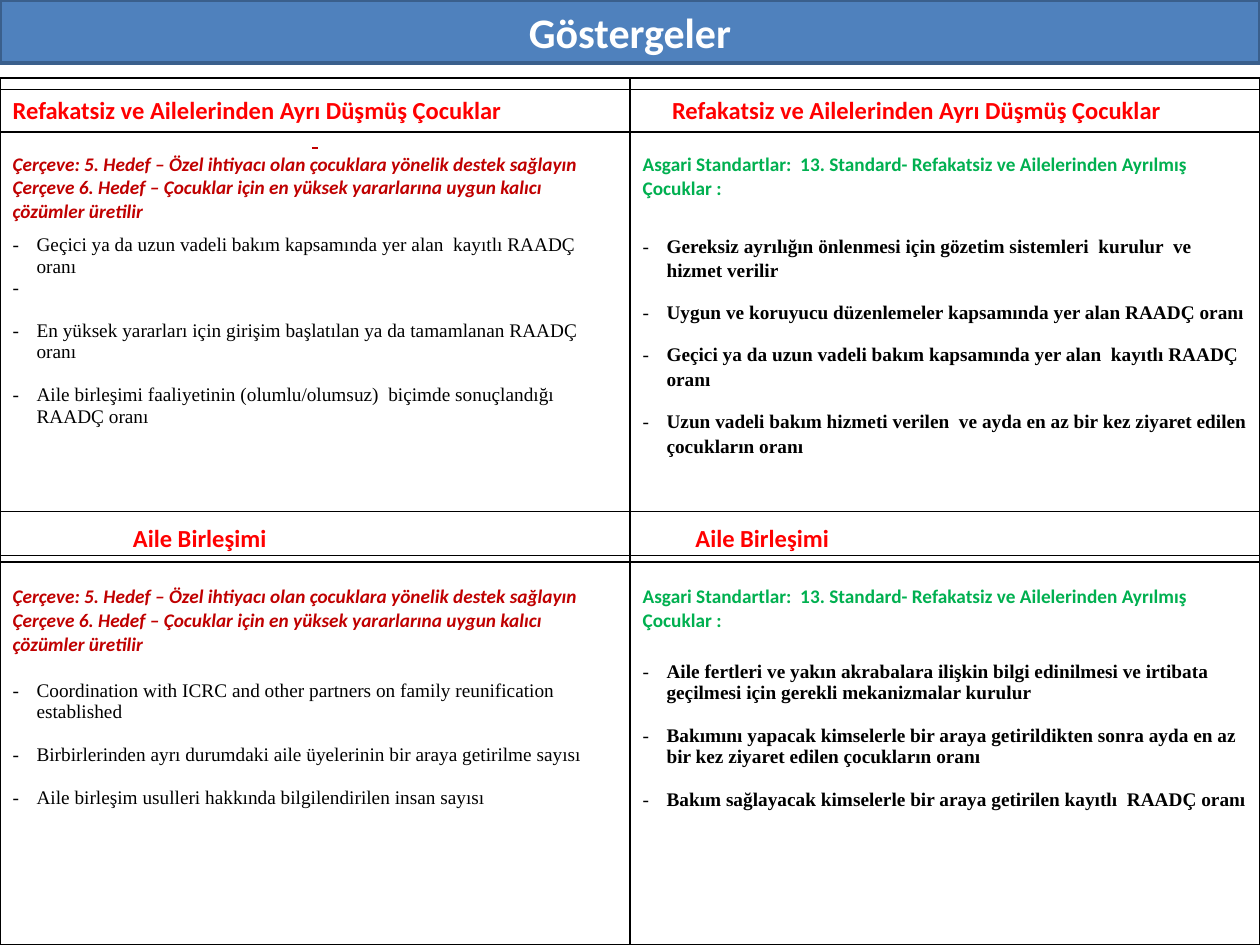
from lxml import etree
from pptx import Presentation
from pptx.dml.color import RGBColor
from pptx.enum.shapes import MSO_SHAPE
from pptx.enum.text import MSO_ANCHOR, PP_ALIGN
from pptx.oxml.ns import qn
from pptx.util import Pt

RECT = MSO_SHAPE.RECTANGLE
MIDDLE = MSO_ANCHOR.MIDDLE
CENTER = PP_ALIGN.CENTER

COLORS = {
    "white": "FFFFFF", "black": "000000", "blue": "4F81BD", "navy": "3A5F8C",
    "red": "FF0000", "dark_red": "C00000", "green": "00B050",
}
SANS, SERIF = "Calibri", "Times New Roman"
WIDTH, HEIGHT = 720, 540
COL_W = WIDTH / 2
INDENT = 13.7


def add_run(p, text, size, font, color, bold=False, italic=False):
    r = p.add_run()
    r.text = text
    r.font.size = Pt(size)
    r.font.name = font
    r.font.bold = bold
    r.font.italic = italic
    r.font.color.rgb = RGBColor.from_string(COLORS[color])
    return r


def add_grid(top, widths, heights, fill=None):
    height = sum(heights)
    tbl = s.shapes.add_table(len(heights), len(widths), Pt(0), Pt(top), Pt(WIDTH), Pt(height)).table
    tbl.first_row = tbl.horz_banding = False
    for col, w in zip(tbl.columns, widths):
        col.width = Pt(w)
    for row, h in zip(tbl.rows, heights):
        row.height = Pt(h)
    for cell in tbl.iter_cells():
        tcPr = cell._tc.get_or_add_tcPr()
        for side in ("lnL", "lnR", "lnT", "lnB"):
            ln = etree.SubElement(tcPr, qn("a:" + side), w=str(Pt(1)))
            solid = etree.SubElement(ln, qn("a:solidFill"))
            etree.SubElement(solid, qn("a:srgbClr"), val=COLORS["black"])
        if fill:
            cell.fill.solid()
            cell.fill.fore_color.rgb = RGBColor.from_string(COLORS[fill])
        else:
            cell.fill.background()
    return tbl


prs = Presentation()
prs.slide_width, prs.slide_height = Pt(WIDTH), Pt(HEIGHT)
s = prs.slides.add_slide(prs.slide_layouts[6])

title = s.shapes.add_shape(RECT, Pt(0), Pt(0), Pt(WIDTH), Pt(36))
title.shadow.inherit = False
title.fill.solid()
title.fill.fore_color.rgb = RGBColor.from_string(COLORS["blue"])
title.line.color.rgb = RGBColor.from_string(COLORS["navy"])
title.line.width = Pt(2)
tf = title.text_frame
tf.word_wrap = True
tf.vertical_anchor = MIDDLE
p = tf.paragraphs[0]
p.alignment = CENTER
add_run(p, "Göstergeler", 24, SANS, "white", bold=True)

framework = [
    "Çerçeve: 5. Hedef – Özel ihtiyacı olan çocuklara yönelik destek sağlayın ",
    "Çerçeve 6. Hedef – Çocuklar için en yüksek yararlarına uygun kalıcı çözümler üretilir ",
]
standards = ["Asgari Standartlar:  13. Standard- Refakatsiz ve Ailelerinden Ayrılmış Çocuklar :"]

GAP = 12.3
cells = [
    dict(top=23.1, lead=True, first=6, intro=framework, bullets=[
        "Geçici ya da uzun vadeli bakım kapsamında yer alan  kayıtlı RAADÇ oranı ",
        "\t",
        "En yüksek yararları için girişim başlatılan ya da tamamlanan RAADÇ oranı ",
        "Aile birleşimi faaliyetinin (olumlu/olumsuz)  biçimde sonuçlandığı RAADÇ oranı",
    ]),
    dict(top=42.9, first=18.3, gap=10, spacing=1.15, intro=standards, bullets=[
        "Gereksiz ayrılığın önlenmesi için gözetim sistemleri  kurulur  ve hizmet verilir",
        "Uygun ve koruyucu düzenlemeler kapsamında yer alan RAADÇ oranı",
        "Geçici ya da uzun vadeli bakım kapsamında yer alan  kayıtlı RAADÇ oranı ",
        "Uzun vadeli bakım hizmeti verilen  ve ayda en az bir kez ziyaret edilen çocukların oranı",
    ]),
    dict(top=17, first=13.4, intro=framework, bullets=[
        "Coordination with ICRC and other partners on family reunification established",
        "Birbirlerinden ayrı durumdaki aile üyelerinin bir araya getirilme sayısı",
        "Aile birleşim usulleri hakkında bilgilendirilen insan sayısı",
    ]),
    dict(top=17, first=16, intro=standards, bullets=[
        "Aile fertleri ve yakın akrabalara ilişkin bilgi edinilmesi ve irtibata geçilmesi için "
        "gerekli mekanizmalar kurulur ",
        "Bakımını yapacak kimselerle bir araya getirildikten sonra ayda en az  bir kez ziyaret "
        "edilen çocukların oranı ",
        "Bakım sağlayacak kimselerle bir araya getirilen kayıtlı  RAADÇ oranı",
    ]),
]

indicators = add_grid(44.6, [COL_W, COL_W], [272.9, 222.5], "white")
for cell, spec_ in zip(indicators.iter_cells(), cells):
    left = spec_["intro"] is framework
    cell.margin_top = Pt(spec_["top"])
    tf = cell.text_frame
    p = tf.paragraphs[0]
    if spec_.get("lead"):
        p.alignment = CENTER
        add_run(p, " ", 16, SANS, "dark_red", bold=True).font.underline = True
        p = tf.add_paragraph()
    for i, text in enumerate(spec_["intro"]):
        if i:
            p = tf.add_paragraph()
        add_run(p, text, 11, SANS, "dark_red" if left else "green", bold=True, italic=left)
    for i, text in enumerate(spec_["bullets"]):
        p = tf.add_paragraph()
        before = spec_.get("gap", GAP) if i else spec_["first"]
        p.space_before = Pt(0 if text == "\t" else before)
        p.line_spacing = spec_.get("spacing", 1.0)
        pPr = p._p.get_or_add_pPr()
        pPr.set("marL", str(Pt(INDENT)))
        pPr.set("indent", str(-Pt(INDENT)))
        etree.SubElement(pPr, qn("a:buFont"), typeface=SERIF)
        etree.SubElement(pPr, qn("a:buChar"), char="-")
        add_run(p, text, 11, SERIF, "black", bold=not left)

bands = [
    (51.1, 22.5, 3.6, "Refakatsiz ve Ailelerinden Ayrı Düşmüş Çocuklar", [376.8]),
    (292.3, 28.8, 7.4, "Aile Birleşimi", [68.8, 390.2]),
]
for top, height, margin, heading, stops in bands:
    cell = add_grid(top, [WIDTH], [height]).cell(0, 0)
    cell.margin_top = Pt(margin)
    p = cell.text_frame.paragraphs[0]
    tabs = etree.SubElement(p._p.get_or_add_pPr(), qn("a:tabLst"))
    for stop in stops:
        etree.SubElement(tabs, qn("a:tab"), pos=str(Pt(stop)), algn="l")
    lead = "\t" * (len(stops) - 1)
    add_run(p, f"{lead}{heading}\t{heading}", 14, SANS, "red", bold=True)

prs.save("out.pptx")
